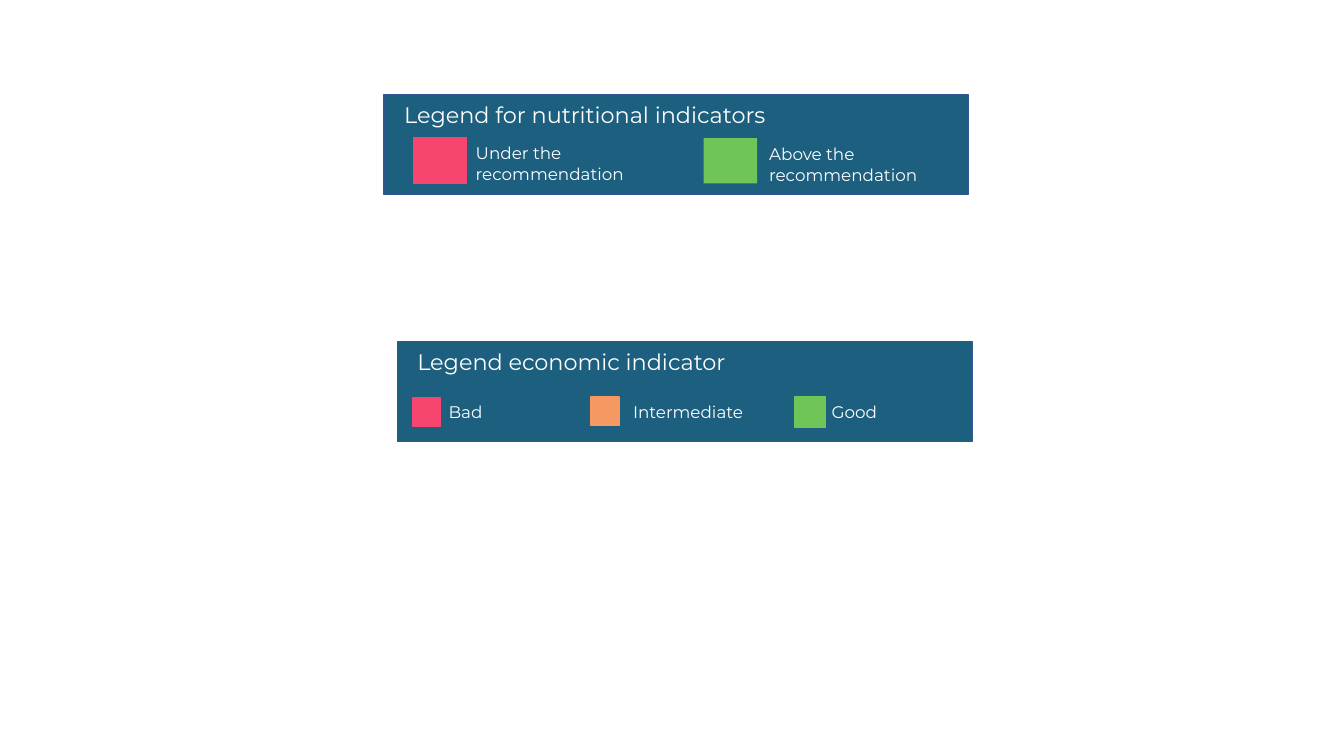
import pptx
import pptx.util
import pptx.dml.color
import pptx.enum.shapes
import pptx.enum.text

PX = 9144  # 100 px to the inch
FONT = "Montserrat"
WHITE, TEAL, NAVY = "FFFFFF", "1C5F7E", "325491"
RED, ORANGE, GREEN = "F6466F", "F69861", "6FC557"


def color(code):
    return pptx.dml.color.RGBColor.from_string(code)


def scale(*box):
    return [n * PX for n in box]


def rect(group, box, fill, line=None):
    shape = group.shapes.add_shape(
        pptx.enum.shapes.MSO_SHAPE.RECTANGLE, *scale(*box))
    shape.shadow.inherit = False
    shape.fill.solid()
    shape.fill.fore_color.rgb = color(fill)
    if line:
        shape.line.color.rgb = color(line)
        shape.line.width = pptx.util.Pt(1)
    else:
        shape.line.fill.background()


def label(group, box, text, size):
    frame = group.shapes.add_textbox(*scale(*box)).text_frame
    frame.word_wrap = True
    frame.auto_size = pptx.enum.text.MSO_AUTO_SIZE.SHAPE_TO_FIT_TEXT
    par = frame.paragraphs[0]
    par.text = text
    par.font.name = FONT
    par.font.size = pptx.util.Pt(size)
    par.font.color.rgb = color(WHITE)


def legend(slide, box, title, items):
    """Draw a titled panel; item boxes are relative to its corner."""
    left, top, width, height = box
    group = slide.shapes.add_group_shape()

    def place(part):
        x, y, w, h = part
        return left + x, top + y, w, h

    # Panel and heading
    rect(group, box, TEAL, NAVY)
    label(group, place((10, 1, 428, 37)), title, 16)

    # Colour swatches with their meanings
    for text, fill, line, swatch, area in items:
        rect(group, place(swatch), fill, line)
        label(group, place(area), text, 12)


def main():
    deck = pptx.Presentation()
    deck.slide_width, deck.slide_height = scale(1333, 750)
    slide = deck.slides.add_slide(deck.slide_layouts[6])

    # Nutrition
    legend(slide, (381, 94, 579, 99), "Legend for nutritional indicators", [
        ("Under the recommendation", RED, RED,
         (29, 43, 53, 45), (81, 43, 181, 45)),
        ("Above the recommendation", GREEN, None,
         (317, 43, 53, 45), (372, 44, 183, 45)),
    ])

    # Economy
    legend(slide, (394, 339, 570, 99), "Legend economic indicator", [
        ("Bad", RED, RED, (15, 56, 28, 28), (41, 55, 155, 30)),
        ("Intermediate", ORANGE, ORANGE,
         (192, 55, 28, 28), (224, 55, 155, 30)),
        ("Good", GREEN, GREEN, (394, 55, 31, 30), (421, 55, 153, 30)),
    ])

    deck.save("out.pptx")


if __name__ == "__main__":
    main()
